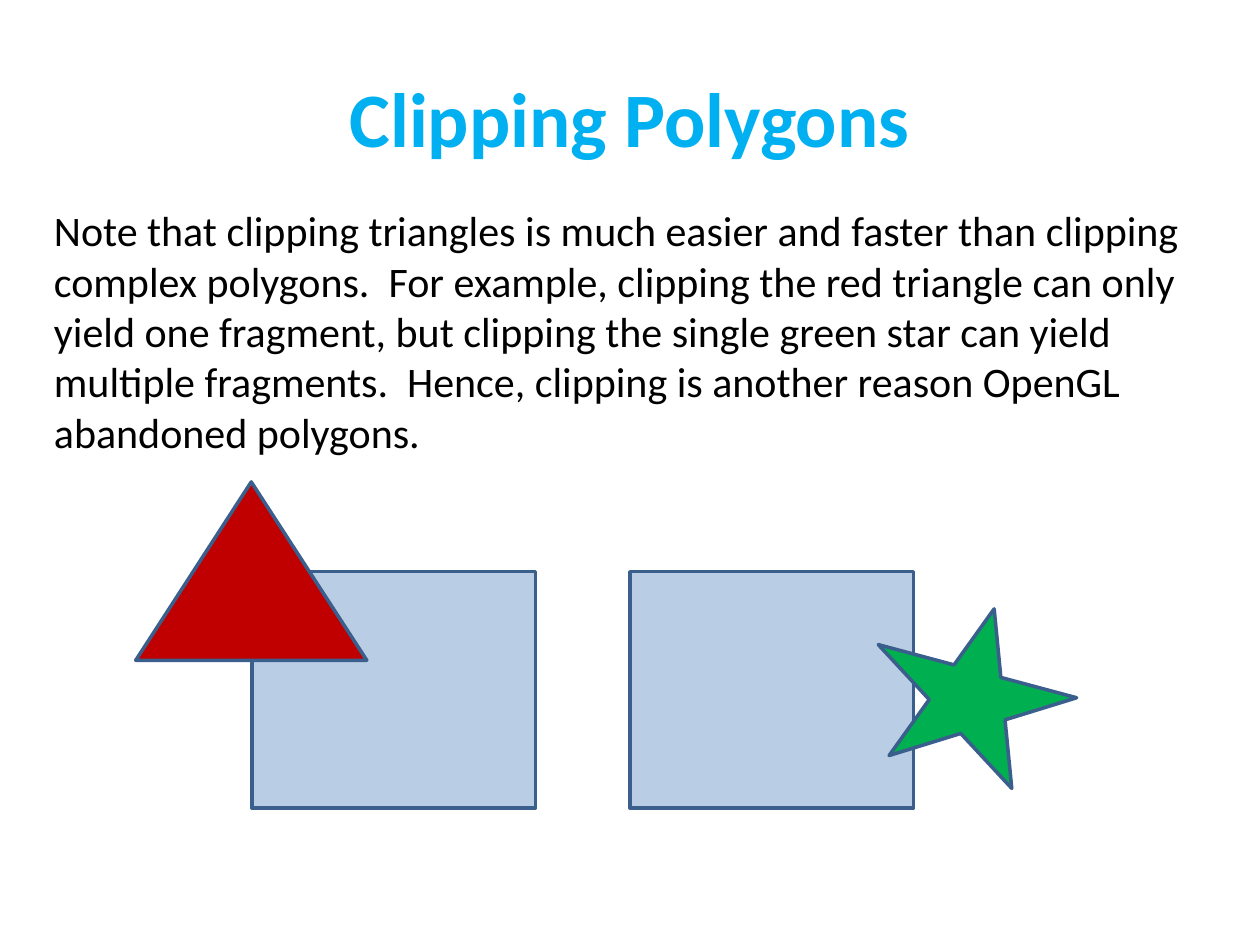
from pptx import Presentation
from pptx import util as u
from pptx.dml.color import RGBColor
from pptx.enum import shapes, text

SKY = RGBColor(0x00, 0xB0, 0xF0)
BLACK = RGBColor(0x00, 0x00, 0x00)
PALE_BLUE = RGBColor(0xB9, 0xCD, 0xE5)
OUTLINE = RGBColor(0x3A, 0x5F, 0x8C)
RED = RGBColor(0xC0, 0x00, 0x00)
GREEN = RGBColor(0x00, 0xB0, 0x50)

FONT = "Calibri"
WIDTH, HEIGHT = u.Inches(10), u.Inches(7.5)
TITLE = "Clipping Polygons"
NOTE = (
    "Note that clipping triangles is much easier and faster than clipping "
    "complex polygons.  For example, clipping the red triangle can only yield "
    "one fragment, but clipping the single green star can yield multiple "
    "fragments.  Hence, clipping is another reason OpenGL abandoned polygons."
)


def share(box, left, top, width, height):
    x, y, w, h = box
    return (int(x + left * w), int(y + top * h), int(width * w), int(height * h))


def add_text(page, box, words, size, color, bold=False,
             align=text.PP_ALIGN.LEFT, anchor=text.MSO_ANCHOR.TOP, before=0):
    frame = page.shapes.add_textbox(*box).text_frame
    frame.word_wrap = True
    frame.vertical_anchor = anchor
    frame.text = words
    para = frame.paragraphs[0]
    para.alignment = align
    para.space_before = u.Pt(before)
    font = para.runs[0].font
    font.name, font.size, font.bold = FONT, u.Pt(size), bold
    font.color.rgb = color


def add_figure(page, box, kind, fill, rotation=0):
    figure = page.shapes.add_shape(kind, *box)
    figure.shadow.inherit = False
    figure.fill.solid()
    figure.fill.fore_color.rgb = fill
    figure.line.color.rgb = OUTLINE
    figure.line.width = u.Pt(2)
    figure.rotation = rotation


def add_title(page, box):
    add_text(page, box, TITLE, 44, SKY, bold=True,
             align=text.PP_ALIGN.CENTER, anchor=text.MSO_ANCHOR.MIDDLE)


def add_note(page, box):
    add_text(page, box, NOTE, 24, BLACK, before=4.8)


def add_clipping(page, window, kind, color, polygon, rotation=0):
    add_figure(page, window, shapes.MSO_SHAPE.RECTANGLE, PALE_BLUE)
    add_figure(page, share(window, *polygon), kind, color, rotation)


def main():
    deck = Presentation()
    deck.slide_width, deck.slide_height = WIDTH, HEIGHT
    page = deck.slides.add_slide(deck.slide_layouts[6])
    whole = (0, 0, WIDTH, HEIGHT)

    add_title(page, share(whole, 0.05, 0.04, 0.9, 1 / 6))
    add_note(page, share(whole, 0.033, 0.21, 0.95, 0.66))

    left_window, right_window = (
        share(whole, left, 0.605, 0.225, 0.25) for left in (0.2, 0.5)
    )
    add_clipping(page, left_window, shapes.MSO_SHAPE.ISOSCELES_TRIANGLE, RED,
                 (-0.41, -0.38, 0.815, 0.755))
    add_clipping(page, right_window, shapes.MSO_SHAPE.STAR_5_POINT, GREEN,
                 (0.845, 0.145, 0.725, 0.715), rotation=15)

    deck.save("out.pptx")


if __name__ == "__main__":
    main()
